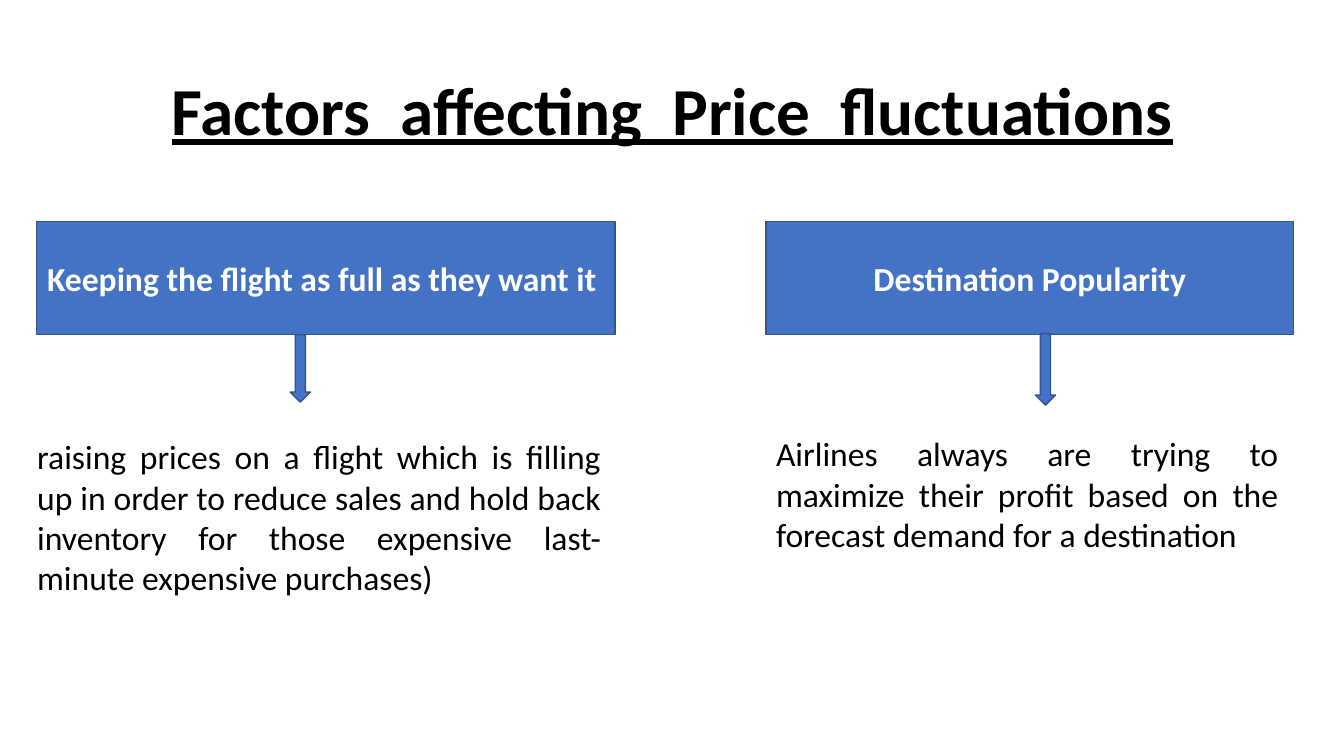
from dataclasses import dataclass

from pptx import Presentation
from pptx.dml.color import RGBColor
from pptx.enum.shapes import MSO_SHAPE
from pptx.enum.text import MSO_ANCHOR, MSO_AUTO_SIZE, PP_ALIGN
from pptx.shapes.autoshape import Shape
from pptx.slide import Slide
from pptx.util import Inches, Pt

BLUE = RGBColor(0x44, 0x72, 0xC4)
DARK_BLUE = RGBColor(0x32, 0x54, 0x91)
WHITE = RGBColor(0xFF, 0xFF, 0xFF)
BLACK = RGBColor(0x00, 0x00, 0x00)
FONT = "Calibri"

# The slide is a grid of 100 columns by 100 rows.
SLIDE_WIDTH = Inches(13.33)
SLIDE_HEIGHT = Inches(7.5)
COLUMN = SLIDE_WIDTH / 100
ROW = SLIDE_HEIGHT / 100


@dataclass(frozen=True)
class Area:
    """A rectangle in grid columns and rows."""
    left: float
    top: float
    width: float
    height: float

    def lengths(self) -> tuple[int, int, int, int]:
        return (round(self.left * COLUMN), round(self.top * ROW),
                round(self.width * COLUMN), round(self.height * ROW))


@dataclass(frozen=True)
class Factor:
    heading: str
    explanation: str
    heading_area: Area
    arrow_area: Area
    explanation_area: Area


TITLE = "Factors  affecting  Price  fluctuations"
TITLE_AREA = Area(6.9, 5.33, 86.27, 19.33)
FACTORS = (
    Factor(
        "Keeping the flight as full as they want it ",
        "raising prices on a flight which is filling up in order to reduce sales "
        "and hold back inventory for those expensive last-minute expensive purchases)",
        Area(2.7, 29.33, 43.06, 14.93),
        Area(21.6, 44.27, 1.5, 8.93),
        Area(2.03, 57.07, 43.44, 22.93),
    ),
    Factor(
        "Destination Popularity",
        "Airlines always are trying to maximize their profit based on the "
        "forecast demand for a destination",
        Area(57, 29.33, 39.23, 14.93),
        Area(77.04, 44.13, 1.5, 9.47),
        Area(57, 56.67, 38.86, 17.47),
    ),
)


def write(shape: Shape, text: str, size: int, color: RGBColor,
          alignment: PP_ALIGN, bold: bool = False) -> None:
    frame = shape.text_frame
    frame.word_wrap = True
    frame.text = text
    para = frame.paragraphs[0]
    para.alignment = alignment
    para.font.name = FONT
    para.font.size = Pt(size)
    para.font.bold = bold
    para.font.color.rgb = color


def add_blue_shape(page: Slide, kind: MSO_SHAPE, area: Area) -> Shape:
    shape = page.shapes.add_shape(kind, *area.lengths())
    shape.shadow.inherit = False
    shape.fill.solid()
    shape.fill.fore_color.rgb = BLUE
    shape.line.color.rgb = DARK_BLUE
    shape.line.width = Pt(1)
    return shape


def add_title(page: Slide) -> None:
    title = page.shapes.title
    title.left, title.top, title.width, title.height = TITLE_AREA.lengths()
    write(title, TITLE, 48, BLACK, PP_ALIGN.CENTER, bold=True)
    title.text_frame.vertical_anchor = MSO_ANCHOR.MIDDLE
    para = title.text_frame.paragraphs[0]
    para.line_spacing = 0.9
    para.font.underline = True


def add_factor(page: Slide, factor: Factor) -> None:
    """Draw a heading box, its explanation and the arrow between them."""
    heading = add_blue_shape(page, MSO_SHAPE.RECTANGLE, factor.heading_area)
    write(heading, factor.heading, 24, WHITE, PP_ALIGN.CENTER, bold=True)
    heading.text_frame.vertical_anchor = MSO_ANCHOR.MIDDLE

    explanation = page.shapes.add_textbox(*factor.explanation_area.lengths())
    write(explanation, factor.explanation, 24, BLACK, PP_ALIGN.JUSTIFY)
    explanation.text_frame.auto_size = MSO_AUTO_SIZE.SHAPE_TO_FIT_TEXT

    add_blue_shape(page, MSO_SHAPE.DOWN_ARROW, factor.arrow_area)


def main() -> None:
    deck = Presentation()
    deck.slide_width = SLIDE_WIDTH
    deck.slide_height = SLIDE_HEIGHT
    page = deck.slides.add_slide(deck.slide_layouts.get_by_name("Title Only"))
    add_title(page)
    for factor in FACTORS:
        add_factor(page, factor)
    deck.save("out.pptx")


if __name__ == "__main__":
    main()
